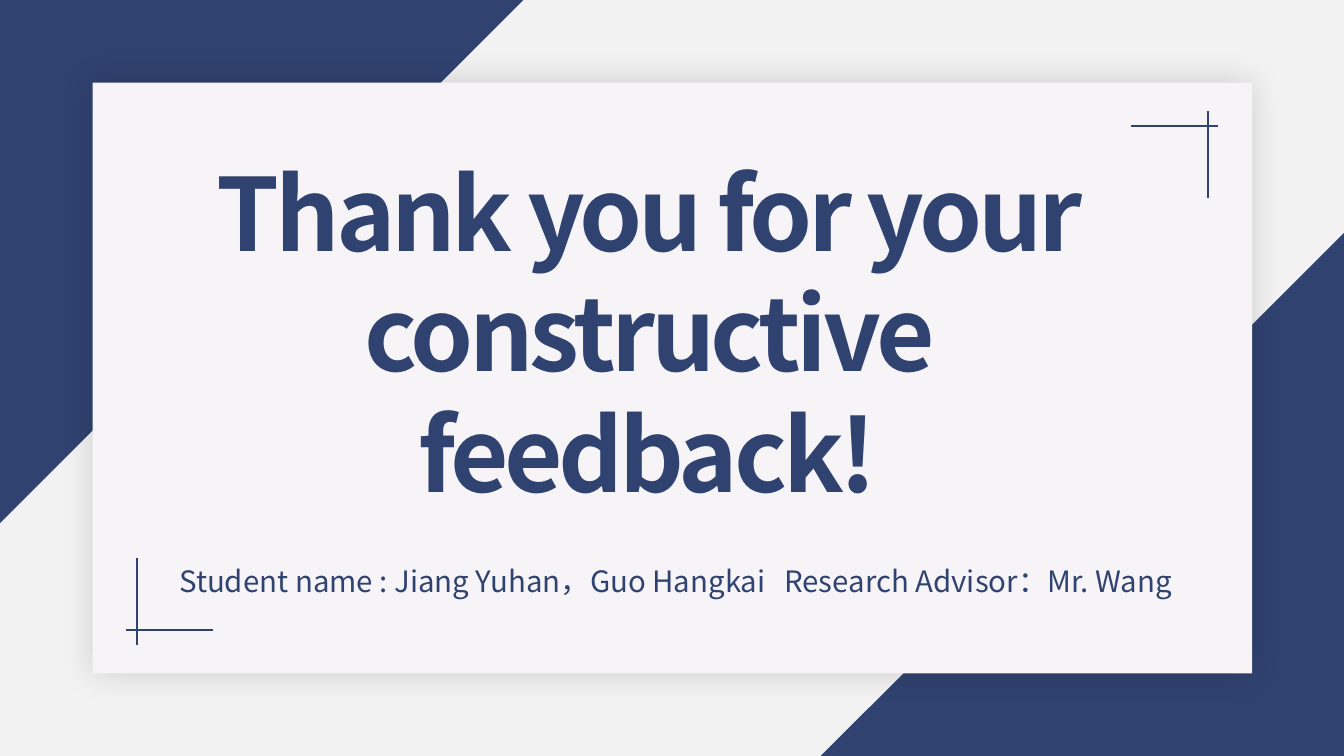
from pptx import Presentation
from pptx.dml.color import RGBColor
from pptx.enum.shapes import MSO_CONNECTOR, MSO_SHAPE
from pptx.enum.text import MSO_ANCHOR, MSO_AUTO_SIZE, PP_ALIGN
from pptx.oxml import parse_xml
from pptx.oxml.ns import nsdecls
from pptx.util import Inches, Pt

NAVY = "304270"
FONT = "Noto Sans CJK SC"


def color(value):
    return RGBColor.from_string(value)


def write(box, text, size, bold, align, spacing):
    """Fill a text box or placeholder with one formatted paragraph."""
    frame = box.text_frame
    frame.word_wrap = True
    frame.auto_size = MSO_AUTO_SIZE.SHAPE_TO_FIT_TEXT
    frame.vertical_anchor = MSO_ANCHOR.TOP
    para = frame.paragraphs[0]
    para.alignment = align
    span = para.add_run()
    span.text = text
    for name, value in {"name": FONT, "size": Pt(size), "bold": bold}.items():
        setattr(span.font, name, value)
    span.font.color.rgb = color(NAVY)
    properties = span.font._element
    properties.set("spc", str(spacing * 100))
    properties.append(parse_xml(f'<a:ea {nsdecls("a")} typeface="{FONT}"/>'))


deck = Presentation()
deck.slide_width, deck.slide_height = Inches(13.33), Inches(7.5)
page = deck.slides.add_slide(deck.slide_layouts[5])
page.background.fill.solid()
page.background.fill.fore_color.rgb = color("F2F2F2")

# Corner triangles and the central card
panels = [
    (MSO_SHAPE.RIGHT_TRIANGLE, 8.14, 2.31, 5.19, 5.19, 270, NAVY),
    (MSO_SHAPE.RIGHT_TRIANGLE, 0, 0, 5.19, 5.19, 90, NAVY),
    (MSO_SHAPE.RECTANGLE, 0.92, 0.82, 11.5, 5.86, 0, "F7F4F8"),
]
for preset, left, top, width, height, rotation, fill in panels:
    panel = page.shapes.add_shape(
        preset, Inches(left), Inches(top), Inches(width), Inches(height))
    panel.rotation = rotation
    panel.fill.solid()
    panel.fill.fore_color.rgb = color(fill)
    panel.line.fill.background()
    panel.shadow.inherit = False

card = panel
effects = card._element.spPr.find("{*}effectLst")
effects.append(parse_xml(
    f'<a:outerShdw {nsdecls("a")} blurRad="{Pt(24)}" dist="0" dir="0" algn="ctr" rotWithShape="0">'
    '<a:srgbClr val="000000"><a:alpha val="15000"/></a:srgbClr></a:outerShdw>'))

# Crossed lines in two corners of the card
corner_lines = [
    (2.11, 6.25, 1.25, 6.25),
    (1.36, 5.54, 1.36, 6.4),
    (11.22, 1.25, 12.08, 1.25),
    (11.98, 1.96, 11.98, 1.1),
]
for ends in corner_lines:
    line = page.shapes.add_connector(MSO_CONNECTOR.STRAIGHT, *map(Inches, ends))
    line.line.color.rgb = color(NAVY)
    line.line.width = Pt(1)
    line._element.spPr.append(parse_xml(f'<a:effectLst {nsdecls("a")}/>'))

title = page.shapes.title
title.left, title.top, title.width, title.height = map(Inches, (1.88, 1.44, 9.09, 3.74))
page.shapes._spTree.append(title._element)
write(title, "Thank you for your constructive feedback!", 72, True, PP_ALIGN.CENTER, -3)

names = page.shapes.add_textbox(Inches(1.68), Inches(5.54), Inches(10.29), Inches(0.45))
write(names, "Student name : Jiang Yuhan，Guo Hangkai\tResearch Advisor：Mr. Wang",
      21, False, PP_ALIGN.LEFT, 0)

deck.save("out.pptx")
